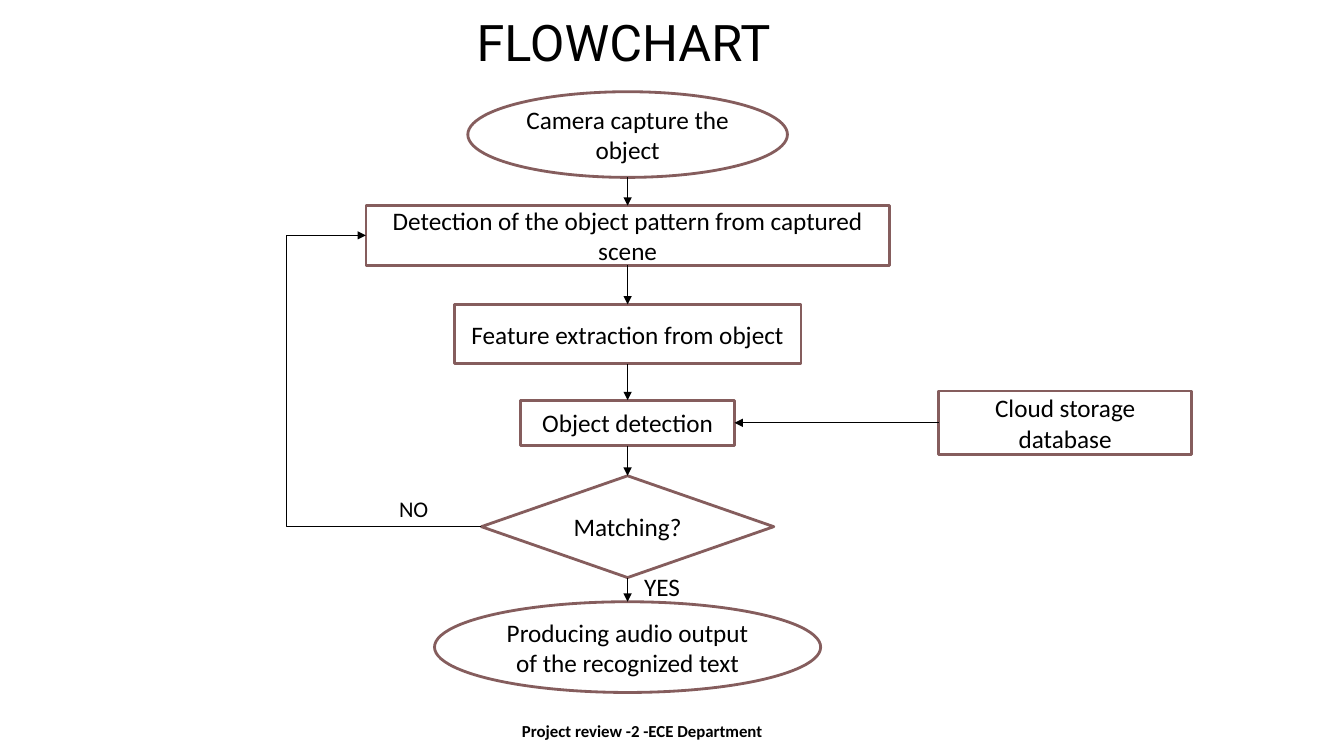
from lxml import etree
from pptx import Presentation
from pptx.dml.color import RGBColor
from pptx.enum import shapes, text
from pptx.oxml.ns import qn
from pptx.util import Inches, Pt

BLACK = RGBColor(0x00, 0x00, 0x00)
WHITE = RGBColor(0xFF, 0xFF, 0xFF)
MAUVE = RGBColor(0x85, 0x5D, 0x5D)

OVAL = shapes.MSO_SHAPE.OVAL
RECT = shapes.MSO_SHAPE.RECTANGLE
DECISION = shapes.MSO_SHAPE.FLOWCHART_DECISION
CENTER = text.PP_ALIGN.CENTER
LEFT = text.PP_ALIGN.LEFT
TOP_SITE, LEFT_SITE, BOTTOM_SITE, RIGHT_SITE = range(4)

# Main column: shape, top, width, height, text
STEPS = [
    (OVAL, 0.91, 3.17, 0.85, "Camera capture the object"),
    (RECT, 2.04, 5.19, 0.59, "Detection of the object pattern from captured scene"),
    (RECT, 3.02, 3.44, 0.59, "Feature extraction from object"),
    (RECT, 3.97, 2.12, 0.45, "Object detection"),
    (DECISION, 4.72, 2.9, 1.01, "Matching?"),
    (OVAL, 5.97, 3.83, 0.9, "Producing audio output of the recognized text"),
]


def write(tf, words, size, align=CENTER, font="Calibri", bold=False):
    tf.text = words
    tf.word_wrap = True
    p = tf.paragraphs[0]
    p.alignment = align
    f = p.runs[0].font
    f.name, f.size, f.bold = font, Pt(size), bold
    f.color.rgb = BLACK


def add_label(s, box, words, size, align=LEFT, bold=False):
    tb = s.shapes.add_textbox(*map(Inches, box))
    write(tb.text_frame, words, size, align, bold=bold)


def add_node(s, kind, box, words):
    sp = s.shapes.add_shape(kind, *map(Inches, box))
    sp.shadow.inherit = False
    sp.fill.solid()
    sp.fill.fore_color.rgb = WHITE
    sp.line.color.rgb = MAUVE
    sp.line.width = Pt(2)
    sp.text_frame.vertical_anchor = text.MSO_ANCHOR.MIDDLE
    write(sp.text_frame, words, 18)
    return sp


def add_arrow(s, start, start_site, end, end_site, kind=shapes.MSO_CONNECTOR.STRAIGHT):
    c = s.shapes.add_connector(kind, 0, 0, 0, 0)
    c.begin_connect(start, start_site)
    c.end_connect(end, end_site)
    # An oval has eight sites, with its bottom at 4
    if start.auto_shape_type == OVAL:
        c.element.find(".//" + qn("a:stCxn")).set("idx", str(start_site * 2))
    c.line.color.rgb = BLACK
    c.line.width = Pt(0.75)
    # Arrowhead, and no shadow
    ln = c.element.find(".//" + qn("a:ln"))
    etree.SubElement(ln, qn("a:tailEnd"), type="triangle")
    etree.SubElement(c.element.spPr, qn("a:effectLst"))
    return c


def add_title(s, box):
    title = s.shapes.title
    title.left, title.top, title.width, title.height = map(Inches, box)
    title.text_frame.vertical_anchor = text.MSO_ANCHOR.TOP
    write(title.text_frame, "FLOWCHART", 36, font="Roboto")


def add_flowchart(s, left, top, width):
    middle = left + width / 2
    first_top = STEPS[0][1]
    nodes = [
        add_node(s, kind, (middle - w / 2, top + y - first_top, w, h), words)
        for kind, y, w, h, words in STEPS
    ]
    detection, matching = nodes[3], nodes[4]

    # Database beside object detection
    cloud = add_node(s, RECT, (left + 5.68, top + 2.97, 2.51, 0.63),
                     "Cloud storage database")

    # Straight arrows
    for upper, lower in zip(nodes, nodes[1:]):
        add_arrow(s, upper, BOTTOM_SITE, lower, TOP_SITE)
    add_arrow(s, cloud, LEFT_SITE, detection, RIGHT_SITE)

    # Loop back when nothing matches, bending left of both boxes
    loop = add_arrow(s, matching, LEFT_SITE, nodes[1], LEFT_SITE,
                     shapes.MSO_CONNECTOR.ELBOW)
    guides = loop.element.find(".//" + qn("a:avLst"))
    etree.SubElement(guides, qn("a:gd"), name="adj1", fmla="val 168500")

    # Branch labels
    add_label(s, (left + 0.23, top + 3.95, 0.69, 0.37), "NO", 16)
    add_label(s, (left + 2.66, top + 4.71, 0.82, 0.4), "YES", 18)


def main():
    prs = Presentation()
    prs.slide_width, prs.slide_height = Inches(13.33), Inches(7.5)
    s = prs.slides.add_slide(prs.slide_layouts[5])
    add_title(s, (1.35, 0.06, 9.67, 1.11))
    add_flowchart(s, 3.63, 0.91, 5.19)
    # Footer
    add_label(s, (4.55, 7.1, 3.64, 0.3), "Project review -2 -ECE Department",
              12, CENTER, bold=True)
    prs.save("out.pptx")


if __name__ == "__main__":
    main()
